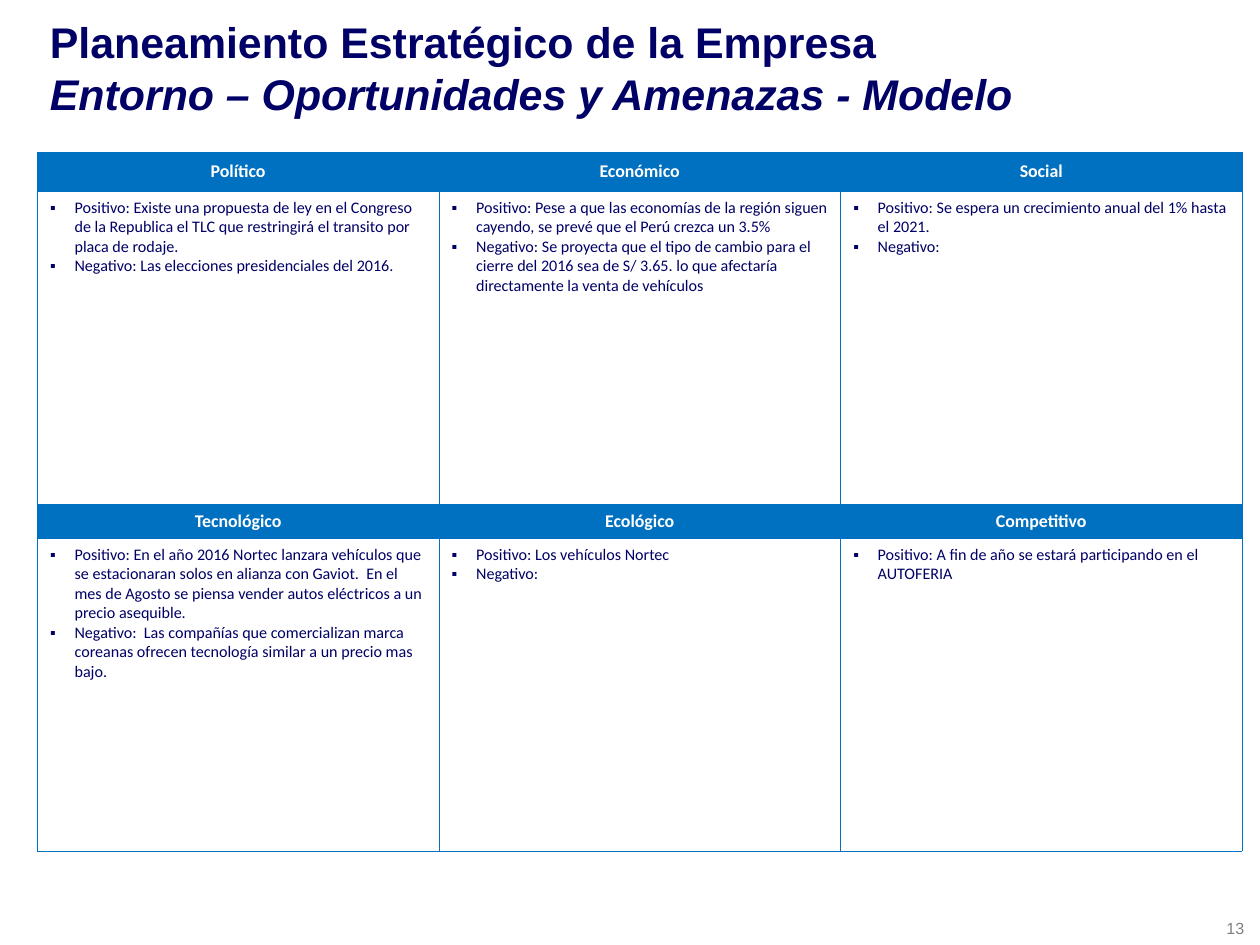
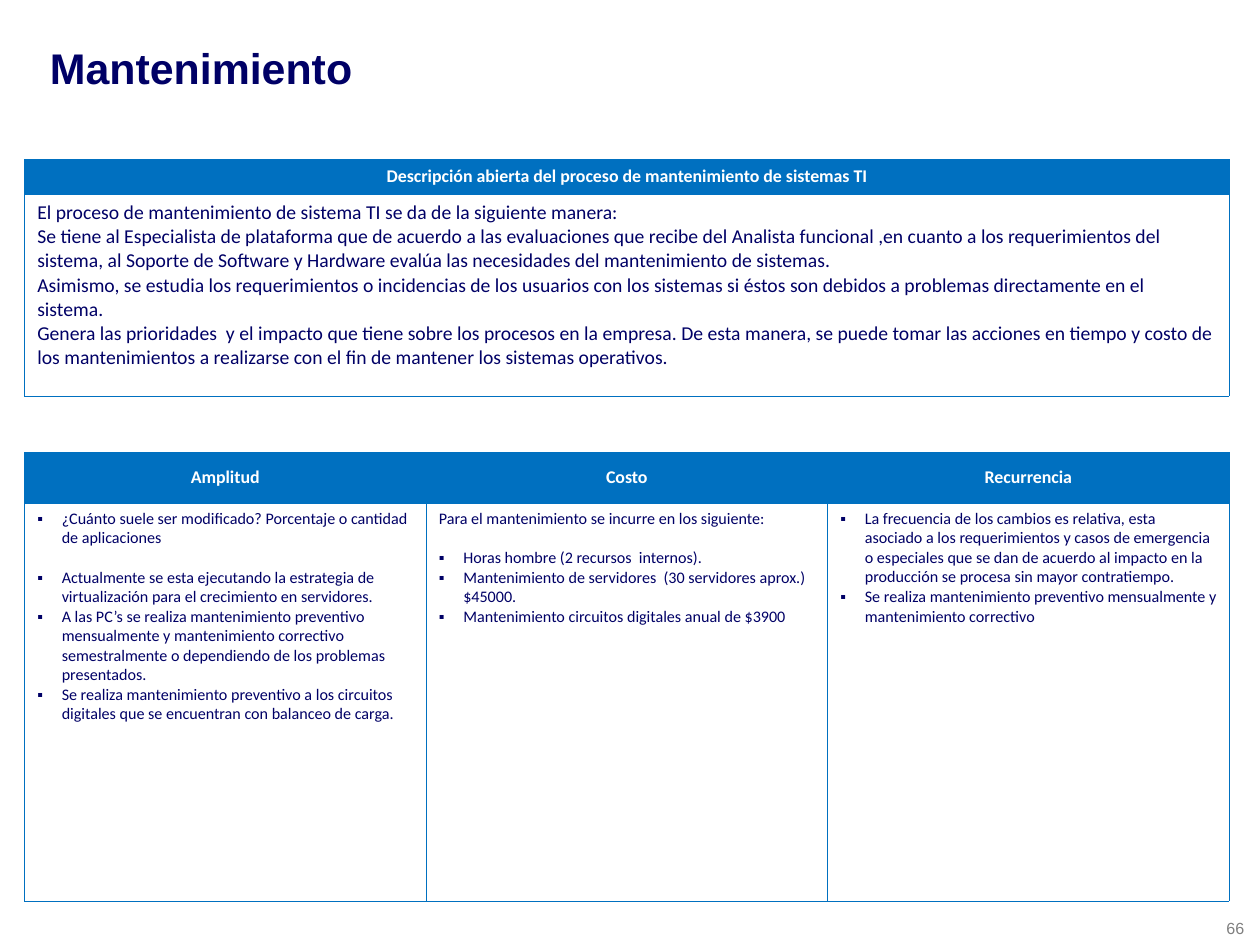
from dataclasses import dataclass

from lxml import etree
from pptx import Presentation
from pptx.dml import color
from pptx.enum import text
from pptx.oxml import ns
from pptx.util import Inches, Pt

# Shared style
NAVY, BLUE, WHITE, GRAY = "000066", "0070C0", "FFFFFF", "808080"
TITLE_FONT, BODY_FONT = "Arial", "Calibri"
TABLE_WIDTH = 9.37
BULLET_INDENT = 0.19
BORDER_WIDTH = 0.25


@dataclass
class Item:
    """One paragraph of a table cell."""
    words: str
    bullet: bool = True
    gap_after: float = 0


@dataclass
class Section:
    """A row of headings with the row of contents below it."""
    headings: list[str]
    contents: list[list[Item]]
    heading_height: float
    content_height: float


@dataclass
class Grid:
    left: float
    top: float
    sections: list[Section]
    size: float = 9


@dataclass
class Page:
    number: str
    title: str
    grids: list[Grid]
    subtitle: str = ""


def rgb(value: str) -> color.RGBColor:
    return color.RGBColor.from_string(value)


def add_run(paragraph, words: str, size: float, font: str, fill: str,
            bold: bool = False, italic: bool = False) -> None:
    run = paragraph.add_run()
    run.text = words
    run.font.size = Pt(size)
    run.font.name = font
    run.font.bold = bold
    run.font.italic = italic
    run.font.color.rgb = rgb(fill)


def add_bullet(paragraph) -> None:
    properties = paragraph._p.get_or_add_pPr()
    properties.set("marL", str(Inches(BULLET_INDENT)))
    properties.set("indent", str(-Inches(BULLET_INDENT)))
    etree.SubElement(properties, ns.qn("a:buFont")).set("typeface", TITLE_FONT)
    etree.SubElement(properties, ns.qn("a:buChar")).set("char", "▪")


def style_cell(cell, fill: str) -> None:
    cell.fill.solid()
    cell.fill.fore_color.rgb = rgb(fill)
    properties = cell._tc.get_or_add_tcPr()
    # Borders come before the fill
    for position, side in enumerate(("lnL", "lnR", "lnT", "lnB")):
        line = etree.Element(ns.qn(f"a:{side}"), w=str(Pt(BORDER_WIDTH)))
        solid = etree.SubElement(line, ns.qn("a:solidFill"))
        etree.SubElement(solid, ns.qn("a:srgbClr")).set("val", BLUE)
        properties.insert(position, line)


def fill_heading(cell, words: str) -> None:
    style_cell(cell, BLUE)
    cell.vertical_anchor = text.MSO_ANCHOR.MIDDLE
    paragraph = cell.text_frame.paragraphs[0]
    paragraph.alignment = text.PP_ALIGN.CENTER
    add_run(paragraph, words, 10, BODY_FONT, WHITE, bold=True)


def fill_content(cell, items: list[Item], size: float) -> None:
    style_cell(cell, WHITE)
    frame = cell.text_frame
    for index, item in enumerate(items):
        paragraph = frame.add_paragraph() if index else frame.paragraphs[0]
        if item.gap_after:
            paragraph.space_after = Pt(item.gap_after)
        if item.bullet:
            add_bullet(paragraph)
        add_run(paragraph, item.words, size, BODY_FONT, NAVY)


def add_grid(slide, grid: Grid) -> None:
    heights = [height for section in grid.sections
               for height in (section.heading_height, section.content_height)]
    columns = len(grid.sections[0].headings)
    table = slide.shapes.add_table(
        len(heights), columns, Inches(grid.left), Inches(grid.top),
        Inches(TABLE_WIDTH), Inches(sum(heights))).table
    table.first_row = table.horz_banding = False
    for row, height in zip(table.rows, heights):
        row.height = Inches(height)
    for index, section in enumerate(grid.sections):
        for column in range(columns):
            fill_heading(table.cell(2 * index, column), section.headings[column])
            fill_content(table.cell(2 * index + 1, column),
                         section.contents[column], grid.size)


def add_title(slide, title: str, subtitle: str) -> None:
    shape = slide.shapes.add_textbox(Inches(0.29), Inches(0.16), Inches(9.27), Inches(0.73))
    frame = shape.text_frame
    frame.word_wrap = True
    frame.vertical_anchor = text.MSO_ANCHOR.MIDDLE
    paragraph = frame.paragraphs[0]
    add_run(paragraph, title, 24, TITLE_FONT, NAVY, bold=True)
    if subtitle:
        paragraph.add_line_break()
        add_run(paragraph, subtitle, 24, TITLE_FONT, NAVY, bold=True, italic=True)


def add_page_number(slide, number: str) -> None:
    shape = slide.shapes.add_textbox(Inches(9.44), Inches(7.09), Inches(0.36), Inches(0.25))
    shape.text_frame.word_wrap = False
    add_run(shape.text_frame.paragraphs[0], number, 9, TITLE_FONT, GRAY)


def add_page(presentation, page: Page) -> None:
    slide = presentation.slides.add_slide(presentation.slide_layouts[6])
    add_page_number(slide, page.number)
    add_title(slide, page.title, page.subtitle)
    for grid in page.grids:
        add_grid(slide, grid)


# Slide contents
ENVIRONMENT = Grid(0.29, 1.18, [
    Section(["Político", "Económico", "Social"], [
        [Item("Positivo: Existe una propuesta de ley en el Congreso de la Republica el TLC "
              "que restringirá el transito por placa de rodaje."),
         Item("Negativo: Las elecciones presidenciales del 2016.")],
        [Item("Positivo: Pese a que las economías de la región siguen cayendo, se prevé que "
              "el Perú crezca un 3.5%"),
         Item("Negativo: Se proyecta que el tipo de cambio para el cierre del 2016 sea de "
              "S/ 3.65. lo que afectaría directamente la venta de vehículos")],
        [Item("Positivo: Se espera un crecimiento anual del 1% hasta el 2021."),
         Item("Negativo:")],
    ], 0.31, 2.43),
    Section(["Tecnológico", "Ecológico", "Competitivo"], [
        [Item("Positivo: En el año 2016 Nortec lanzara vehículos que se estacionaran solos en "
              "alianza con Gaviot.  En el mes de Agosto se piensa vender autos eléctricos a "
              "un precio asequible."),
         Item("Negativo:  Las compañías que comercializan marca coreanas ofrecen tecnología "
              "similar a un precio mas bajo.")],
        [Item("Positivo: Los vehículos Nortec"), Item("Negativo:")],
        [Item("Positivo: A fin de año se estará participando en el AUTOFERIA")],
    ], 0.27, 2.43),
])

DESCRIPTION = Grid(0.19, 1.24, [
    Section(["Descripción abierta del proceso de mantenimiento de sistemas TI"], [
        [Item("El proceso de mantenimiento de sistema TI se da de la siguiente manera:", False),
         Item("Se tiene al Especialista de plataforma que de acuerdo a las evaluaciones que "
              "recibe del Analista funcional ,en cuanto a los requerimientos del sistema, al "
              "Soporte de Software y Hardware evalúa las necesidades del mantenimiento de "
              "sistemas.", False),
         Item("Asimismo, se estudia los requerimientos o incidencias de los usuarios con los "
              "sistemas si éstos son debidos a problemas directamente en el sistema.", False),
         Item("Genera las prioridades  y el impacto que tiene sobre los procesos en la "
              "empresa. De esta manera, se puede tomar las acciones en tiempo y costo de los "
              "mantenimientos a realizarse con el fin de mantener los sistemas operativos.",
              False)],
    ], 0.27, 1.57),
], size=11)

MAINTENANCE = Grid(0.19, 3.52, [
    Section(["Amplitud", "Costo", "Recurrencia"], [
        [Item("¿Cuánto suele ser modificado? Porcentaje o cantidad de aplicaciones",
              gap_after=11),
         Item("Actualmente se esta ejecutando la estrategia de virtualización para el "
              "crecimiento en servidores."),
         Item("A las PC’s se realiza mantenimiento preventivo mensualmente y mantenimiento "
              "correctivo semestralmente o dependiendo de los problemas presentados."),
         Item("Se realiza mantenimiento preventivo a los circuitos digitales que se "
              "encuentran con balanceo de carga.")],
        [Item("Para el mantenimiento se incurre en los siguiente:", False, 11),
         Item("Horas hombre (2 recursos  internos)."),
         Item("Mantenimiento de servidores  (30 servidores aprox.) $45000."),
         Item("Mantenimiento circuitos digitales anual de $3900")],
        [Item("La frecuencia de los cambios es relativa, esta asociado a los requerimientos y "
              "casos de emergencia o especiales que se dan de acuerdo al impacto en la "
              "producción se procesa sin mayor contratiempo."),
         Item("Se realiza mantenimiento preventivo mensualmente y mantenimiento correctivo")],
    ], 0.39, 3.1),
])

PAGES = [
    Page("13", "Planeamiento Estratégico de la Empresa", [ENVIRONMENT],
         "Entorno – Oportunidades y Amenazas - Modelo"),
    Page("66", "Mantenimiento", [DESCRIPTION, MAINTENANCE]),
]


def main() -> None:
    presentation = Presentation()
    presentation.slide_width = Inches(9.8)
    presentation.slide_height = Inches(7.35)
    for page in PAGES:
        add_page(presentation, page)
    presentation.save("out.pptx")


if __name__ == "__main__":
    main()
